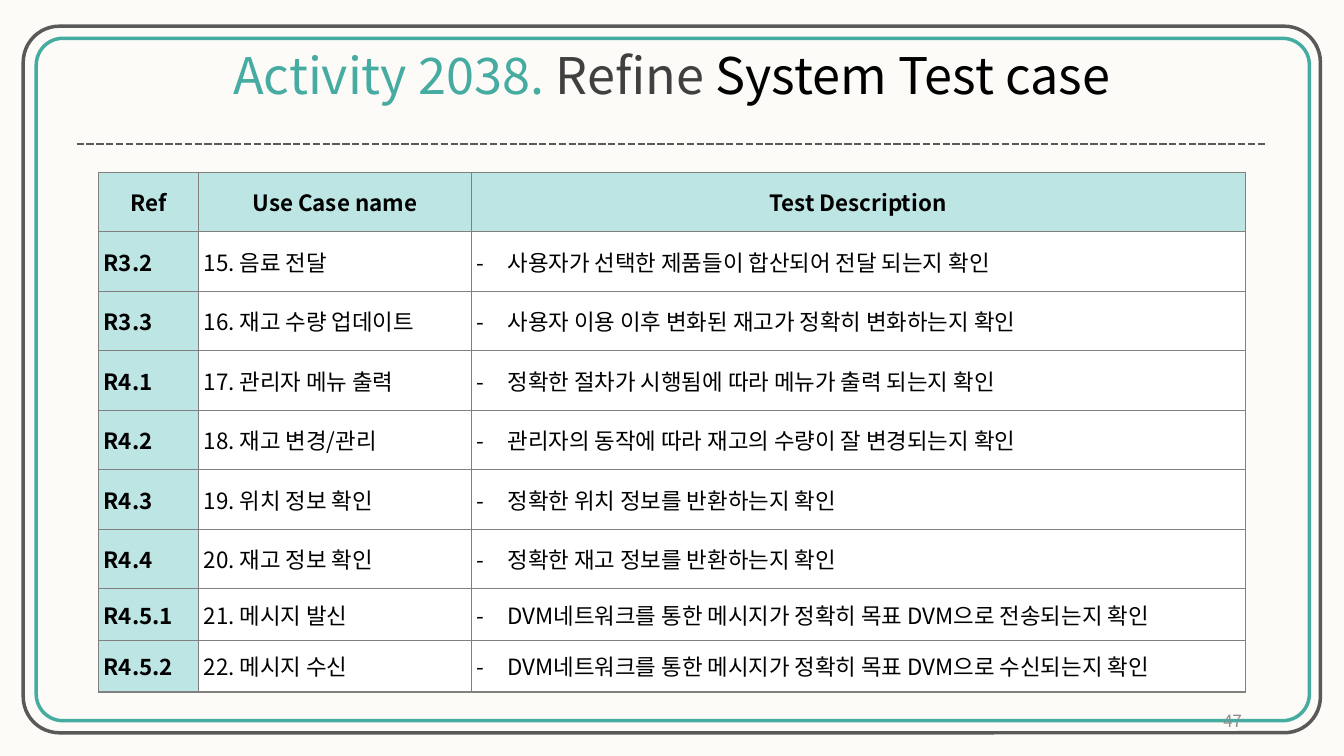
from dataclasses import dataclass

from lxml.etree import SubElement
from pptx import Presentation
from pptx.dml.color import RGBColor
from pptx.enum.dml import MSO_LINE_DASH_STYLE as Dash
from pptx.enum.shapes import MSO_CONNECTOR as Connector, MSO_SHAPE as Shape
from pptx.enum.text import MSO_ANCHOR as Anchor, PP_ALIGN as Align
from pptx.oxml.ns import qn
from pptx.util import Pt


@dataclass(frozen=True)
class Theme:
    font: str = "Noto Sans CJK KR"
    paper: str = "FCFBF7"
    teal: str = "46ACA1"
    mint: str = "BDE5E3"
    gray: str = "595959"
    dark: str = "404040"
    border: str = "808080"
    pale: str = "8C8C8C"
    black: str = "000000"
    white: str = "FFFFFF"
    title_size: int = 36
    table_size: int = 16
    number_size: int = 12


theme = Theme()

# Content
TITLE = [("Activity 2038. ", theme.teal), ("Refine", theme.dark),
         (" System Test case", theme.black)]
HEADERS = ("Ref", "Use Case name", "Test Description")
TEST_CASES = [
    ("R3.2", "음료 전달", "사용자가 선택한 제품들이 합산되어 전달 되는지 확인"),
    ("R3.3", "재고 수량 업데이트", "사용자 이용 이후 변화된 재고가 정확히 변화하는지 확인"),
    ("R4.1", "관리자 메뉴 출력", "정확한 절차가 시행됨에 따라 메뉴가 출력 되는지 확인"),
    ("R4.2", "재고 변경/관리", "관리자의 동작에 따라 재고의 수량이 잘 변경되는지 확인"),
    ("R4.3", "위치 정보 확인", "정확한 위치 정보를 반환하는지 확인"),
    ("R4.4", "재고 정보 확인", "정확한 재고 정보를 반환하는지 확인"),
    ("R4.5.1", "메시지 발신", "DVM네트워크를 통한 메시지가 정확히 목표 DVM으로 전송되는지 확인"),
    ("R4.5.2", "메시지 수신", "DVM네트워크를 통한 메시지가 정확히 목표 DVM으로 수신되는지 확인"),
]
FIRST_CASE = 15
PAGE_NUMBER = "47"

# Layout in points: left, top, width, height
FRAMES = [((25.9, 27.4, 909.4, 487.4), 0.039, theme.teal),
          ((16.6, 18.7, 926.6, 504.7), 0.051, theme.gray)]
TITLE_BOX = (157.7, 28.1, 644.4, 51.1)
NUMBER_BOX = (678.2, 500.4, 216, 28.8)
RULE_LEFT, RULE_RIGHT, RULE_TOP = 54.7, 905, 103
TABLE_LEFT, TABLE_TOP = 70.4, 123.1
COLUMN_WIDTHS = (71.5, 194.6, 553)
ROW_HEIGHTS = [42.5] * 7 + [36.9] * 2
BULLET_INDENT = 22.5


def points(lengths):
    return [Pt(length) for length in lengths]


def color(value):
    return RGBColor.from_string(value)


def write(paragraph, text, size, ink=theme.black, bold=False, align=Align.CENTER):
    paragraph.alignment = align
    run = paragraph.add_run()
    run.text = text
    font = run.font
    font.name, font.size, font.bold = theme.font, Pt(size), bold
    font.color.rgb = color(ink)
    SubElement(font._element, qn("a:ea"), typeface=theme.font)


def style_line(line, ink, width):
    line.color.rgb = color(ink)
    line.width = Pt(width)


def add_bullet(paragraph, character):
    properties = paragraph._p.get_or_add_pPr()
    properties.set("marL", str(Pt(BULLET_INDENT)))
    properties.set("indent", str(-Pt(BULLET_INDENT)))
    SubElement(properties, qn("a:buFont"), typeface=theme.font)
    SubElement(properties, qn("a:buChar"), char=character)


def add_borders(cell):
    properties = cell._tc.get_or_add_tcPr()
    for position, side in enumerate(("a:lnL", "a:lnR", "a:lnT", "a:lnB")):
        border = SubElement(properties, qn(side), w=str(Pt(1)))
        fill = SubElement(border, qn("a:solidFill"))
        SubElement(fill, qn("a:srgbClr"), val=theme.border)
        properties.insert(position, border)


presentation = Presentation()
presentation.slide_width, presentation.slide_height = Pt(960), Pt(540)
slide = presentation.slides.add_slide(presentation.slide_layouts[5])
slide.background.fill.solid()
slide.background.fill.fore_color.rgb = color(theme.paper)
shapes = slide.shapes

# Double frame
for box, corner, ink in FRAMES:
    frame = shapes.add_shape(Shape.ROUNDED_RECTANGLE, *points(box))
    frame.adjustments[0] = corner
    frame.fill.background()
    frame.shadow.inherit = False
    style_line(frame.line, ink, 2.5)

# Title
title = shapes.title
title.left, title.top, title.width, title.height = points(TITLE_BOX)
title.text_frame.word_wrap = False
title.text_frame.vertical_anchor = Anchor.TOP
for text, ink in TITLE:
    write(title.text_frame.paragraphs[0], text, theme.title_size, ink=ink)

# Dashed rule
rule = shapes.add_connector(
    Connector.STRAIGHT, *points((RULE_LEFT, RULE_TOP, RULE_RIGHT, RULE_TOP)))
style_line(rule.line, theme.gray, 1.75)
rule.line.dash_style = Dash.SQUARE_DOT
SubElement(rule._element.spPr, qn("a:effectLst"))

# Test case table
rows = [HEADERS] + [(ref, f"{number}. {name}", description) for number, (ref, name, description)
                    in enumerate(TEST_CASES, FIRST_CASE)]
table = shapes.add_table(
    len(rows), len(HEADERS),
    *points((TABLE_LEFT, TABLE_TOP, sum(COLUMN_WIDTHS), sum(ROW_HEIGHTS)))).table
for column, width in zip(table.columns, COLUMN_WIDTHS):
    column.width = Pt(width)
for row, height in zip(table.rows, ROW_HEIGHTS):
    row.height = Pt(height)
for row_index, texts in enumerate(rows):
    for column_index, text in enumerate(texts):
        cell = table.cell(row_index, column_index)
        is_header = row_index == 0
        is_label = is_header or column_index == 0
        cell.margin_left = cell.margin_right = Pt(3.6)
        cell.margin_top = cell.margin_bottom = 0
        cell.vertical_anchor = Anchor.MIDDLE
        cell.fill.solid()
        cell.fill.fore_color.rgb = color(theme.mint if is_label else theme.white)
        add_borders(cell)
        paragraph = cell.text_frame.paragraphs[0]
        write(paragraph, text, theme.table_size, bold=is_label,
              align=Align.CENTER if is_header else Align.JUSTIFY)
        if column_index == 2 and not is_header:
            add_bullet(paragraph, "-")

# Page number
number_frame = shapes.add_textbox(*points(NUMBER_BOX)).text_frame
number_frame.word_wrap = True
number_frame.vertical_anchor = Anchor.MIDDLE
write(number_frame.paragraphs[0], PAGE_NUMBER, theme.number_size,
      ink=theme.pale, align=Align.RIGHT)

presentation.save("out.pptx")
